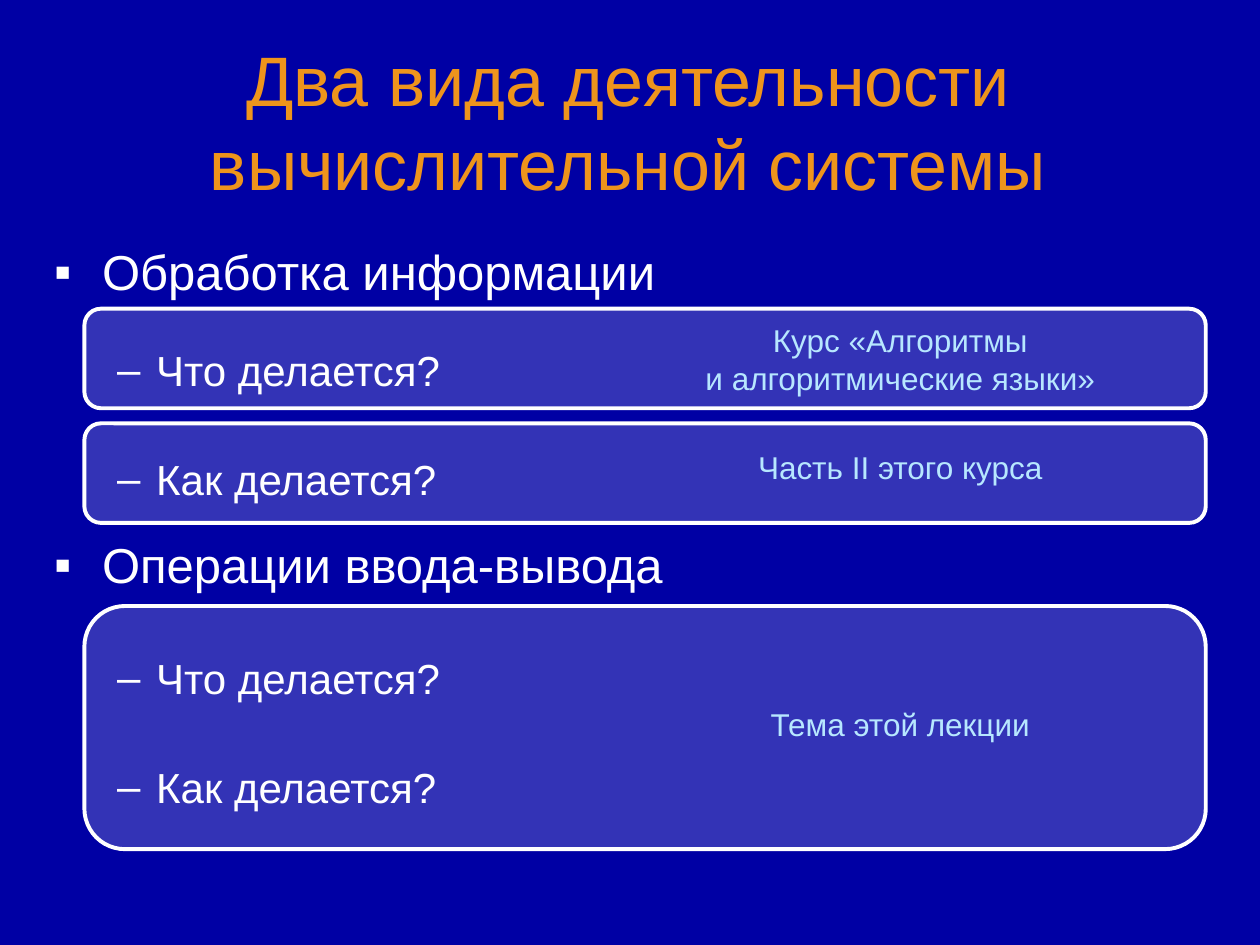
from lxml.etree import SubElement
from pptx import Presentation
from pptx.dml.color import RGBColor
from pptx.enum.shapes import MSO_SHAPE
from pptx.enum.text import MSO_ANCHOR, MSO_AUTO_SIZE, PP_ALIGN
from pptx.oxml.ns import qn
from pptx.util import Inches, Pt

COLORS = {"background": "0000A4", "title": "EE941C", "text": "FFFFFF", "note": "B7E7FF"}
FONT = "Arial"
PANELS = [(4.81, 1.93), (3.36, 0.79), (2.45, 0.79)]
NOTES = [
    ("Курс «Алгоритмы\vи алгоритмические языки»", 2.5, 0.7),
    ("Часть II этого курса", 3.51, 0.4),
    ("Тема этой лекции", 5.55, 0.4),
]
ITEMS = [
    ("Обработка информации", 0, 1, 0),
    ("Что делается?", 1, 1.7, 0),
    ("Как делается?", 1, 2, 12),
    ("Операции ввода-вывода", 0, 1, 0),
    ("Что делается?", 1, 2, 0),
    ("Как делается?", 1, 2, 0),
]
LEVELS = [("▪", 0.38, -0.38, 28), ("–", 0.81, -0.31, 24)]


def color(name):
    return RGBColor.from_string(COLORS[name])


def place(shape, left, top, width, height):
    shape.left, shape.top = Inches(left), Inches(top)
    shape.width, shape.height = Inches(width), Inches(height)


def format_runs(paragraph, size, color_name):
    for run in paragraph.runs:
        run.font.name = FONT
        run.font.size = Pt(size)
        run.font.color.rgb = color(color_name)


def add_panel(slide, top, height):
    shape = slide.shapes.add_shape(
        MSO_SHAPE.ROUNDED_RECTANGLE, Inches(0.67), Inches(top), Inches(8.9), Inches(height)
    )
    shape.shadow.inherit = False
    shape.fill.solid()
    shape.fill.fore_color.rgb = color("text")
    fill_color = shape.fill._xPr.find(qn("a:solidFill"))[0]
    SubElement(fill_color, qn("a:alpha"), val="20000")
    shape.line.color.rgb = color("text")
    shape.line.width = Pt(2.25)
    return shape


def send_behind(shape, front):
    front._element.addprevious(shape._element)


def fill_title(title):
    place(title, 0.33, 0.25, 9.31, 1.41)
    frame = title.text_frame
    frame.text = "Два вида деятельности вычислительной системы"
    frame.auto_size = MSO_AUTO_SIZE.NONE
    frame.vertical_anchor = MSO_ANCHOR.MIDDLE
    frame.paragraphs[0].alignment = PP_ALIGN.CENTER
    format_runs(frame.paragraphs[0], 40, "title")


def add_bullet(paragraph, character, margin, indent):
    properties = paragraph._p.get_or_add_pPr()
    properties.set("marL", str(Inches(margin)))
    properties.set("indent", str(Inches(indent)))
    bullet_color = SubElement(properties, qn("a:buClr"))
    SubElement(bullet_color, qn("a:srgbClr"), val=COLORS["text"])
    SubElement(properties, qn("a:buFont"), typeface=FONT)
    SubElement(properties, qn("a:buChar"), char=character)


def fill_body(body):
    place(body, 0.33, 1.87, 9.34, 5.11)
    frame = body.text_frame
    frame.auto_size = MSO_AUTO_SIZE.NONE
    frame.text = "\n".join(item[0] for item in ITEMS)
    for index, (paragraph, item) in enumerate(zip(frame.paragraphs, ITEMS)):
        _, level, line_spacing, space_after = item
        character, margin, indent, size = LEVELS[level]
        paragraph.level = level
        add_bullet(paragraph, character, margin, indent)
        paragraph.line_spacing = line_spacing
        paragraph.space_before = Pt(size * 0.2 if index else 0)
        paragraph.space_after = Pt(space_after)
        format_runs(paragraph, size, "text")


def add_note(slide, text, top, height):
    box = slide.shapes.add_textbox(Inches(5), Inches(top), Inches(4.29), Inches(height))
    frame = box.text_frame
    frame.word_wrap = True
    frame.auto_size = MSO_AUTO_SIZE.SHAPE_TO_FIT_TEXT
    paragraph = frame.paragraphs[0]
    paragraph.text = text
    paragraph.alignment = PP_ALIGN.CENTER
    format_runs(paragraph, 18, "note")


def main():
    presentation = Presentation()
    presentation.slide_width, presentation.slide_height = Inches(10), Inches(7.5)
    slide = presentation.slides.add_slide(presentation.slide_layouts[1])
    slide.background.fill.solid()
    slide.background.fill.fore_color.rgb = color("background")
    title, body = slide.shapes.title, slide.placeholders[1]
    fill_title(title)
    fill_body(body)
    for top, height in PANELS:
        send_behind(add_panel(slide, top, height), title)
    for text, top, height in NOTES:
        add_note(slide, text, top, height)
    presentation.save("out.pptx")


if __name__ == "__main__":
    main()
